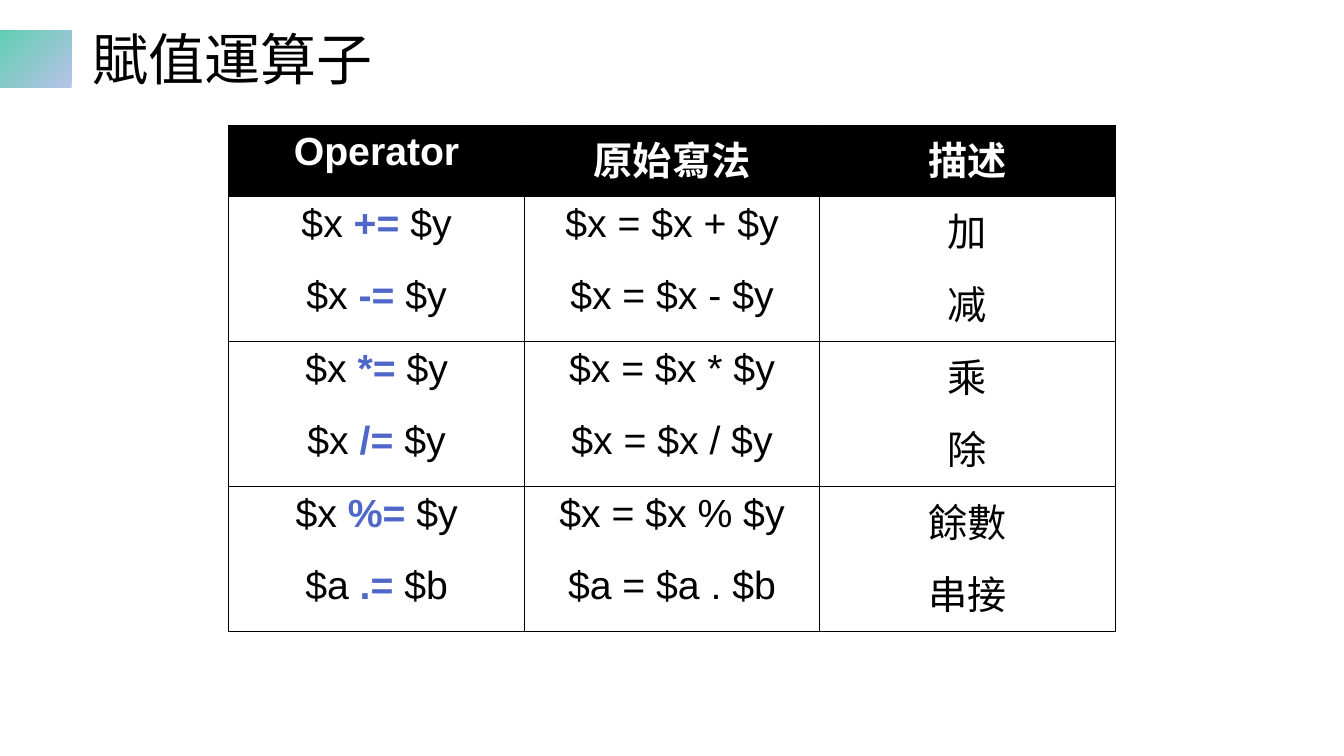
"""Build the slide that lists the assignment operators in a table."""
from lxml.etree import SubElement
from pptx import Presentation
from pptx.dml.color import RGBColor
from pptx.enum.shapes import MSO_SHAPE
from pptx.enum.text import MSO_ANCHOR, PP_ALIGN
from pptx.oxml.ns import qn
from pptx.util import Inches, Pt

COLORS = {"black": "000000", "white": "FFFFFF", "blue": "4E67C8",
          "lilac": "B8C3E9", "green": "60CEB1"}
HEADS = ["Operator", "原始寫法", "描述"]
ROWS = [("x", "+", "y", "加"), ("x", "-", "y", "减"), ("x", "*", "y", "乘"),
        ("x", "/", "y", "除"), ("x", "%", "y", "餘數"), ("a", ".", "b", "串接")]


def add_run(para, text, color="black", size=28, bold=False):
    run = para.add_run()
    run.text = text
    style = {"name": "Arial", "size": Pt(size), "bold": bold}
    for key, value in style.items():
        setattr(run.font, key, value)
    run.font.color.rgb = RGBColor.from_string(COLORS[color])


def add_edge(cell, side, shown):
    line = SubElement(cell._tc.get_or_add_tcPr(), qn(f"a:ln{side}"), w=str(Pt(0.75)))
    if shown:
        fill = SubElement(line, qn("a:solidFill"))
        SubElement(fill, qn("a:srgbClr"), val=COLORS["black"])
    else:
        SubElement(line, qn("a:noFill"))


deck = Presentation()
deck.slide_width, deck.slide_height = Inches(13.33), Inches(7.5)
slide = deck.slides.add_slide(deck.slide_layouts[6])

badge = slide.shapes.add_shape(
    MSO_SHAPE.RECTANGLE, Inches(0), Inches(0.3), Inches(0.71), Inches(0.57))
badge.shadow.inherit = False
badge.line.fill.background()
badge.fill.gradient()
badge.fill.gradient_angle = 135
for stop, name, place in zip(badge.fill.gradient_stops, ["lilac", "green"], [0, 1]):
    stop.color.rgb = RGBColor.from_string(COLORS[name])
    stop.position = place

title = slide.shapes.add_textbox(Inches(0.82), Inches(0.14), Inches(11.5), Inches(0.95))
frame = title.text_frame
frame.word_wrap = True
frame.vertical_anchor = MSO_ANCHOR.MIDDLE
frame.paragraphs[0].line_spacing = 0.9
add_run(frame.paragraphs[0], "賦值運算子", size=40)

count = len(ROWS) + 1
table = slide.shapes.add_table(
    count, len(HEADS), Inches(2.27), Inches(1.24), Inches(8.8), Inches(5.03)).table
for column in table.columns:
    column.width = Inches(2.93)
for index, row in enumerate(table.rows):
    head = index == 0
    row.height = Inches(0.71 if head else 0.72)
    side = Inches(0.04 if head else 0.03)
    edges = {"L": True, "R": True, "T": head or index % 2 == 1, "B": index % 2 == 0}
    form = {"margin_left": side, "margin_right": side,
            "margin_top": Inches(0.05), "margin_bottom": Inches(0.05),
            "vertical_anchor": MSO_ANCHOR.TOP}
    if head:
        texts = [[(name, "white", 28, True)] for name in HEADS]
    else:
        left, sign, right, note = ROWS[index - 1]
        texts = [[(f"${left} ",), (f"{sign}=", "blue", 28, True), (f" ${right}",)],
                 [(f"${left} = ${left} {sign} ${right}",)],
                 [(note,)]]
    for cell, runs in zip(row.cells, texts):
        for key, value in form.items():
            setattr(cell, key, value)
        for edge, shown in edges.items():
            add_edge(cell, edge, shown)
        if head:
            cell.fill.solid()
            cell.fill.fore_color.rgb = RGBColor.from_string(COLORS["black"])
        else:
            cell.fill.background()
        para = cell.text_frame.paragraphs[0]
        para.alignment = PP_ALIGN.CENTER
        for run in runs:
            add_run(para, *run)

deck.save("out.pptx")
